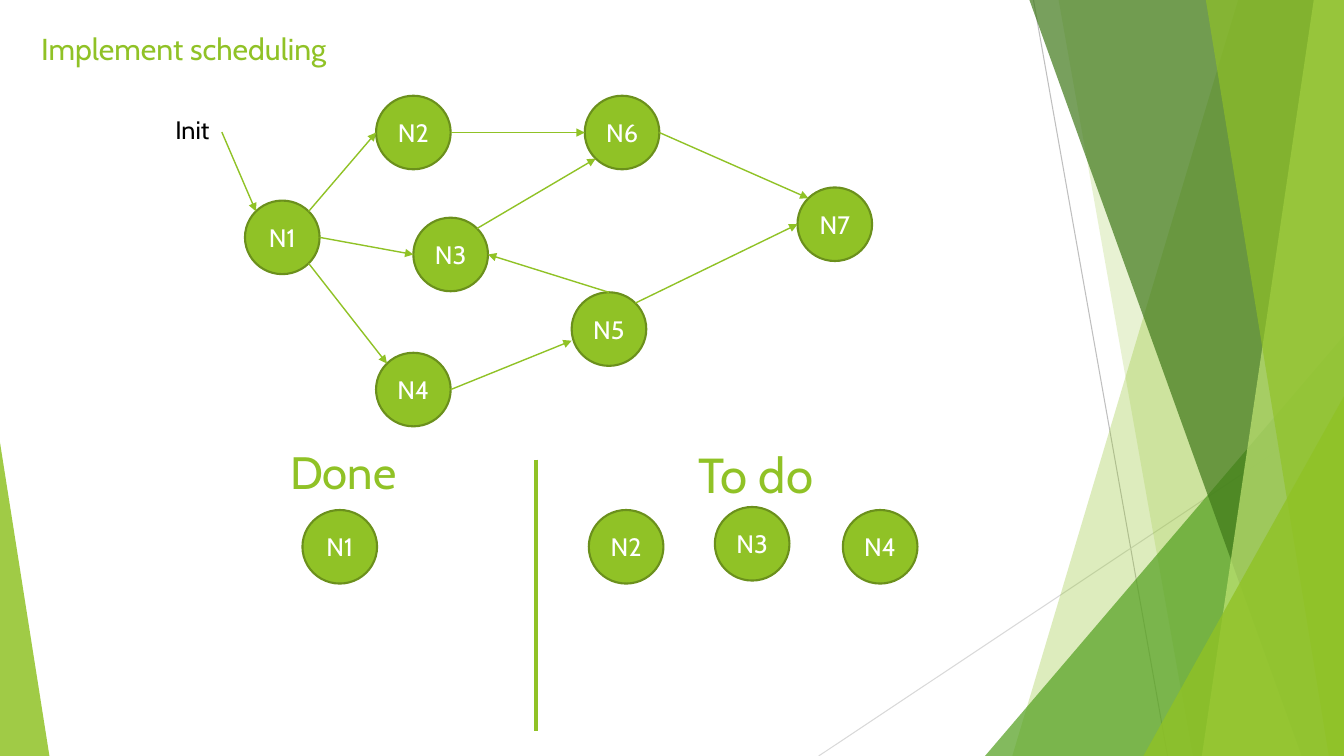
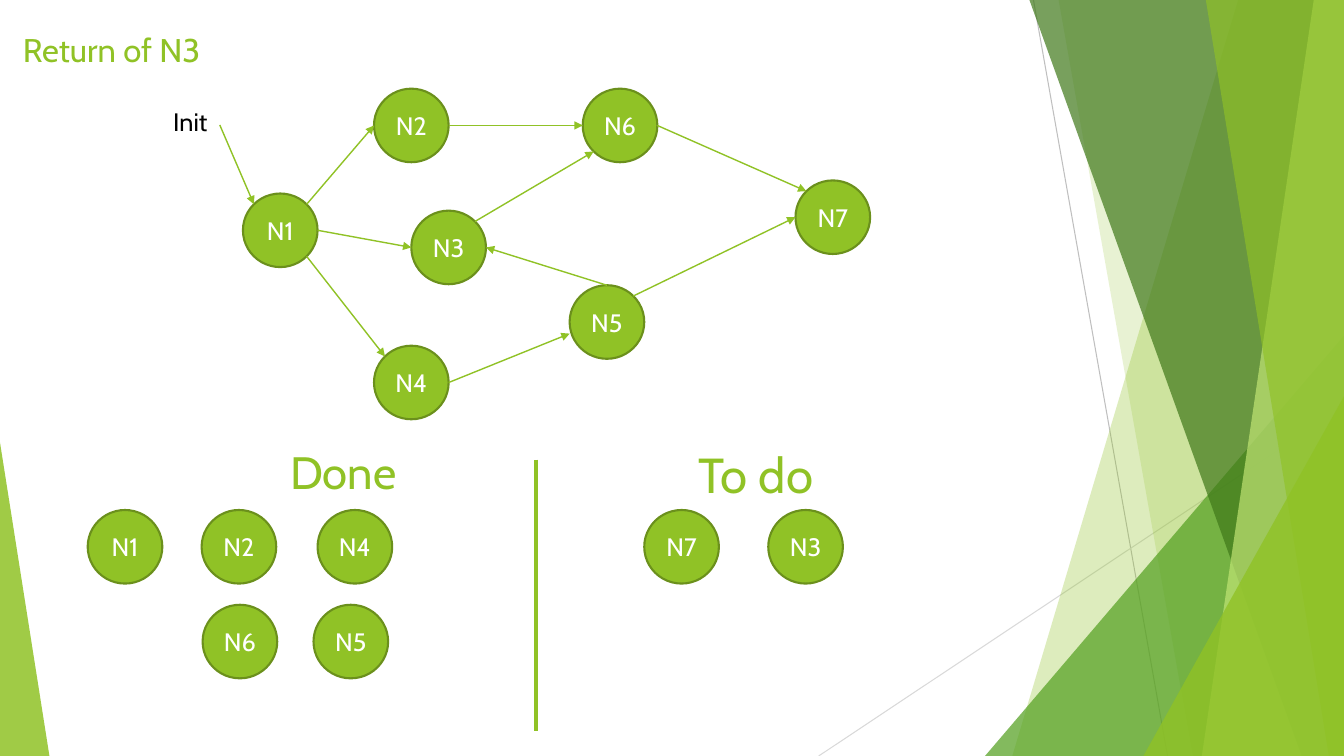
from math import sqrt

from lxml import etree
from pptx import Presentation
from pptx.dml.color import RGBColor
from pptx.enum.shapes import MSO_CONNECTOR, MSO_SHAPE
from pptx.enum.text import MSO_ANCHOR, PP_ALIGN
from pptx.oxml.ns import qn
from pptx.util import Emu, Pt

OVAL = MSO_SHAPE.OVAL
TRIANGLE = MSO_SHAPE.ISOSCELES_TRIANGLE
STRAIGHT = MSO_CONNECTOR.STRAIGHT
MIDDLE = MSO_ANCHOR.MIDDLE
CENTER = PP_ALIGN.CENTER

PX = 9144  # 100 px to the inch
SLIDE_W, SLIDE_H = 1333, 750
FONT = "Cabin"
GREEN, DARK_GREEN = "90C226", "6B901C"
WHITE, BLACK = "FFFFFF", "000000"
NODE_W, NODE_H = 74, 73

# Background, back to front
THIN_LINES = [((1025, 0), (1158, 750), "BFBFBF"), ((1333, 403), (812, 750), "D9D9D9")]
# Bands run to the right edge: x at top, x at bottom, colour, opacity in percent
# Triangles: left, top, width, height, apex, colour, opacity in percent
FACETS = [
    ("band", (1228, 1004), GREEN, 30),
    ("band", (1050, 1183), GREEN, 20),
    ("triangle", (977, 333, 356, 417, 1), "54A021", 72),
    ("band", (1021, 1291), "3F7819", 70),
    ("band", (1303, 1192), "C0E474", 70),
    ("band", (1196, 1318), GREEN, 65),
    ("triangle", (1134, 393, 199, 357, 1), GREEN, 80),
    ("triangle", (0, 439, 49, 311, 0), GREEN, 85),
]

# Graph
NODES = {
    "N1": (243, 199), "N2": (373, 95), "N3": (410, 216), "N4": (373, 350),
    "N6": (580, 95), "N5": (567, 290), "N7": (791, 186),
}
INIT_LABEL = (164, 108, 84, 41)
DIAGONAL = sqrt(0.5)
# Connection sites of an oval: index, and direction from its centre
SITES = {
    "top": (0, 0, -1), "top left": (1, -DIAGONAL, -DIAGONAL), "left": (2, -1, 0),
    "bottom left": (3, -DIAGONAL, DIAGONAL), "bottom right": (5, DIAGONAL, DIAGONAL),
    "right": (6, 1, 0), "top right": (7, DIAGONAL, -DIAGONAL),
}
# An end is a (node, site) pair or a free (x, y) point
EDGES = [
    ((220, 131), ("N1", "top left")),
    (("N1", "top right"), ("N2", "left")),
    (("N1", "right"), ("N3", "left")),
    (("N1", "bottom right"), ("N4", "top left")),
    (("N2", "right"), ("N6", "left")),
    (("N3", "top right"), ("N6", "bottom left")),
    (("N4", "right"), (567, 338)),
    (("N5", "top right"), ("N7", "left")),
    (("N6", "right"), ("N7", "top left")),
    (("N5", "top"), ("N3", "right")),
]

# Lists below the graph
HEADINGS = [("Done", (278, 436, 167, 67), 32.4), ("To do", (683, 436, 167, 67), 35.1)]
DIVIDER = ((532, 456), (532, 725))

SLIDES = [
    {
        "title": ("Implement scheduling", (31, 25, 330, 67), 21.6),
        "shift": (0, 0),
        "done": [("N1", 300, 506)],
        "todo": [("N2", 584, 506), ("N3", 709, 503), ("N4", 836, 506)],
    },
    {
        "title": ("Return of N3", (13, 25, 330, 67), 23.4),
        "shift": (-2, -7),
        "done": [("N1", 87, 506), ("N2", 200, 506), ("N4", 315, 506),
                 ("N6", 201, 600), ("N5", 311, 600)],
        "todo": [("N7", 639, 506), ("N3", 762, 506)],
    },
]


def px(*values):
    return [Emu(round(v * PX)) for v in values]


def rgb(color):
    return RGBColor.from_string(color)


def add_run(tf, text, size, color):
    r = tf.paragraphs[0].add_run()
    r.text = text
    r.font.name = FONT
    r.font.size = Pt(size)
    r.font.color.rgb = rgb(color)


def add_text(slide, text, box, size, color=GREEN):
    tf = slide.shapes.add_textbox(*px(*box)).text_frame
    tf.word_wrap = True
    add_run(tf, text, size, color)


def add_line(slide, start, end, color, width, arrow=False):
    c = slide.shapes.add_connector(STRAIGHT, *px(*start, *end))
    c.line.color.rgb = rgb(color)
    c.line.width = Pt(width)
    if arrow:
        etree.SubElement(c.line._get_or_add_ln(), qn("a:tailEnd"), type="triangle")
    etree.SubElement(c._element.spPr, qn("a:effectLst"))
    return c


def add_node(slide, name, x, y):
    sp = slide.shapes.add_shape(OVAL, *px(x, y, NODE_W, NODE_H))
    sp.shadow.inherit = False
    sp.fill.solid()
    sp.fill.fore_color.rgb = rgb(GREEN)
    sp.line.color.rgb = rgb(DARK_GREEN)
    sp.line.width = Pt(1.5)
    tf = sp.text_frame
    tf.word_wrap = False
    tf.vertical_anchor = MIDDLE
    tf.paragraphs[0].alignment = CENTER
    add_run(tf, name, 18, WHITE)
    return sp


def add_facet(slide, kind, geometry, color, opacity):
    if kind == "band":
        top_x, bottom_x = geometry
        builder = slide.shapes.build_freeform(top_x, 0, scale=PX)
        builder.add_line_segments(
            [(SLIDE_W, 0), (SLIDE_W, SLIDE_H), (bottom_x, SLIDE_H)], close=True)
        sp = builder.convert_to_shape()
    else:
        *box, apex = geometry
        sp = slide.shapes.add_shape(TRIANGLE, *px(*box))
        sp.adjustments[0] = apex
    sp.shadow.inherit = False
    sp.line.fill.background()
    sp.fill.solid()
    sp.fill.fore_color.rgb = rgb(color)
    clr = sp._element.spPr.find(qn("a:solidFill")).find(qn("a:srgbClr"))
    etree.SubElement(clr, qn("a:alpha"), val=str(opacity * 1000))


def add_background(slide):
    for start, end, color in THIN_LINES:
        add_line(slide, start, end, color, 0.75)
    for facet in FACETS:
        add_facet(slide, *facet)


def end_point(end):
    """Return the point of an edge's end before the graph is shifted."""
    if end[0] not in NODES:
        return end
    x, y = NODES[end[0]]
    _, ux, uy = SITES[end[1]]
    return x + NODE_W / 2 * (1 + ux), y + NODE_H / 2 * (1 + uy)


def add_graph(slide, dx, dy):
    def shifted(point):
        return point[0] + dx, point[1] + dy

    ovals = {name: add_node(slide, name, *shifted(at)) for name, at in NODES.items()}
    for ends in EDGES:
        start, end = (shifted(end_point(e)) for e in ends)
        c = add_line(slide, start, end, GREEN, 1, arrow=True)
        glue = c._element.nvCxnSpPr.cNvCxnSpPr
        for tag, (node, site) in zip(("a:stCxn", "a:endCxn"), ends):
            if node in ovals:
                etree.SubElement(glue, qn(tag), id=str(ovals[node].shape_id),
                                 idx=str(SITES[site][0]))
    x, y, w, h = INIT_LABEL
    add_text(slide, "Init", (*shifted((x, y)), w, h), 18, BLACK)


def main():
    prs = Presentation()
    prs.slide_width, prs.slide_height = px(SLIDE_W, SLIDE_H)
    for content in SLIDES:
        slide = prs.slides.add_slide(prs.slide_layouts[6])
        add_background(slide)
        add_text(slide, *content["title"])
        add_graph(slide, *content["shift"])
        add_line(slide, *DIVIDER, GREEN, 3)
        for heading in HEADINGS:
            add_text(slide, *heading)
        for node in content["done"] + content["todo"]:
            add_node(slide, *node)
    prs.save("out.pptx")


if __name__ == "__main__":
    main()
